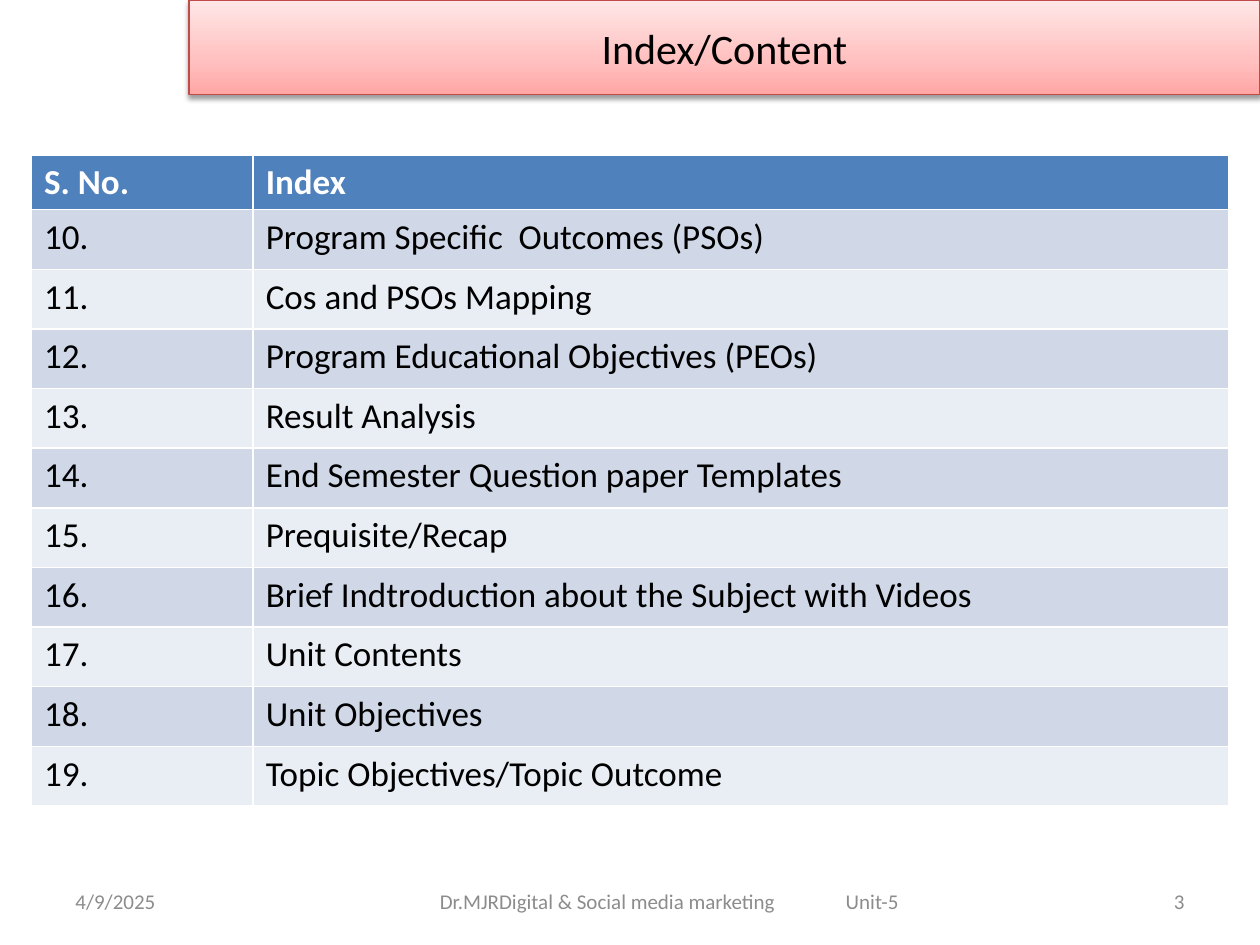
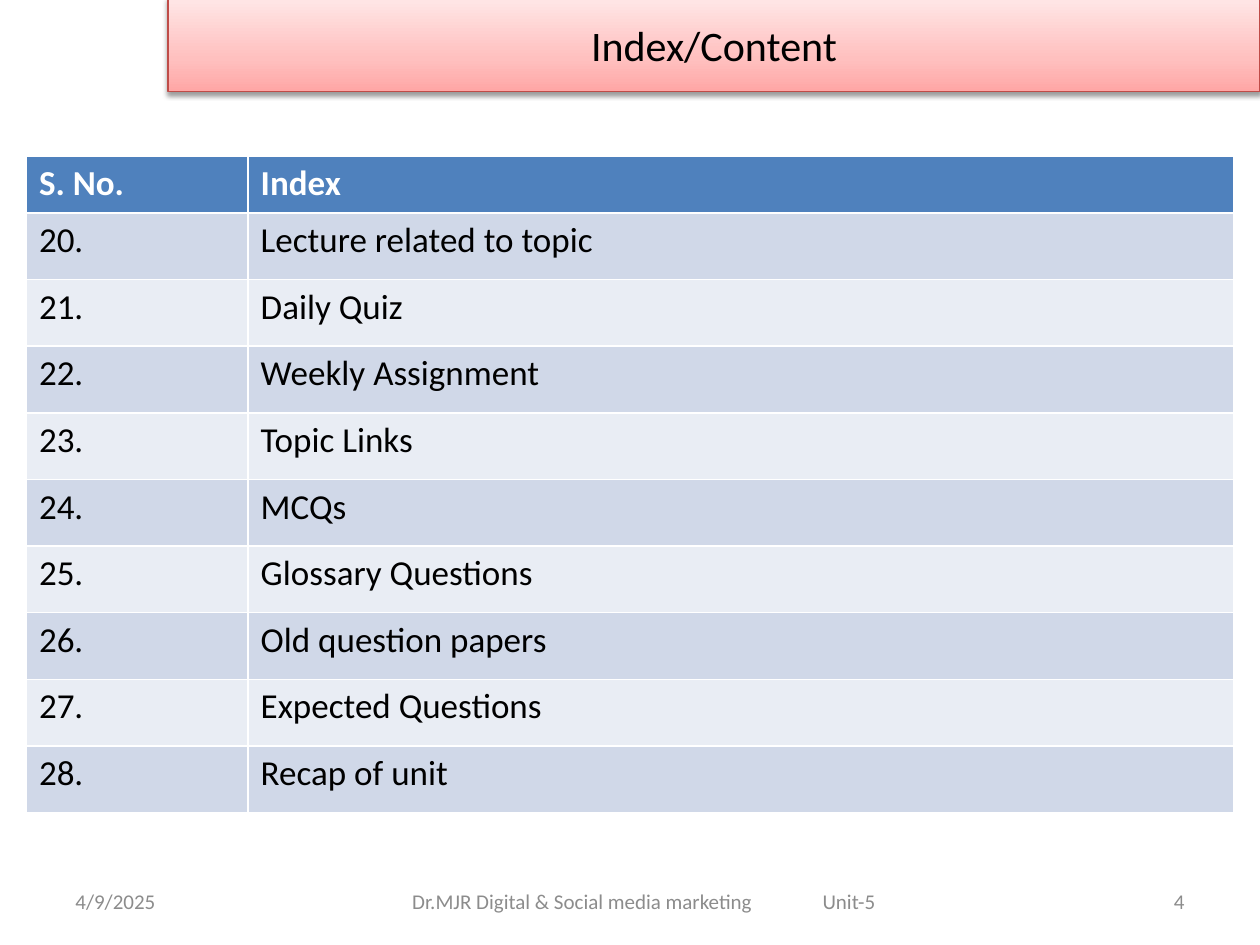
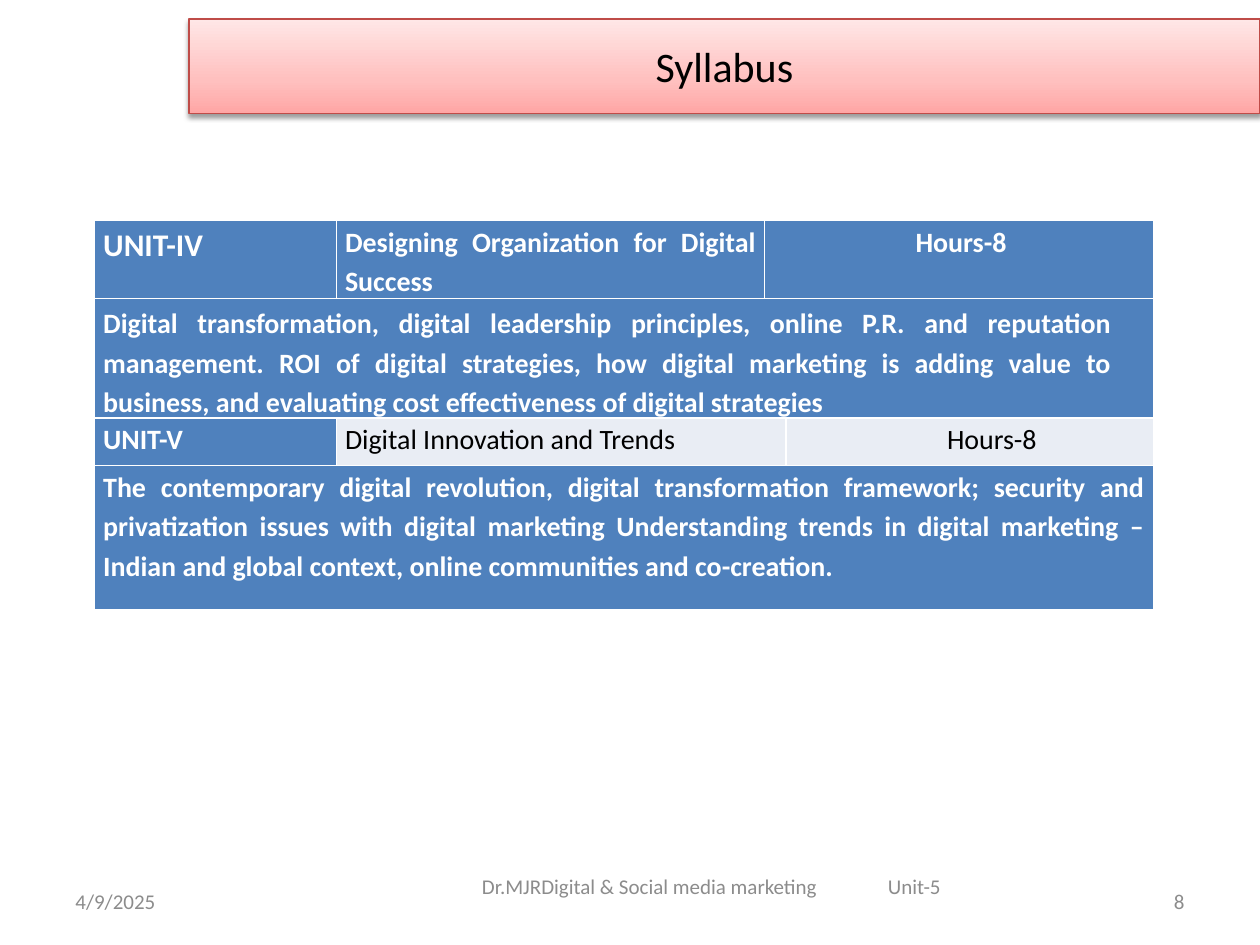
from lxml import etree
from pptx import Presentation
from pptx.dml.color import RGBColor
from pptx.enum.shapes import MSO_SHAPE
from pptx.enum.text import MSO_ANCHOR, PP_ALIGN
from pptx.oxml import parse_xml
from pptx.oxml.ns import nsdecls, qn
from pptx.util import Pt

FONT = "Calibri"
BLACK = RGBColor(0x00, 0x00, 0x00)
WHITE = RGBColor(0xFF, 0xFF, 0xFF)
GREY = RGBColor(0x8C, 0x8C, 0x8C)
BLUE = RGBColor(0x4F, 0x81, 0xBD)
BAND_DARK = RGBColor(0xD0, 0xD8, 0xE8)
BAND_LIGHT = RGBColor(0xE9, 0xED, 0xF4)
BANNER_LINE = RGBColor(0xBF, 0x4C, 0x48)
BANNER_STOPS = [
    (0, RGBColor(0xFF, 0xA6, 0xA5)),
    (35, RGBColor(0xFF, 0xC0, 0xBF)),
    (100, RGBColor(0xFF, 0xE7, 0xE7)),
]

SLIDE_WIDTH = 720
BANNER_HEIGHT = 54
FOOTER_TOP = 500.4
FOOTER_HEIGHT = 28.8
UNIT_LABEL_WIDTH = 33


def add_text(text_frame, text, size, color, bold=False, align=PP_ALIGN.LEFT):
    text_frame.word_wrap = True
    paragraph = text_frame.paragraphs[0]
    paragraph.alignment = align
    run = paragraph.add_run()
    run.text = text
    run.font.name = FONT
    run.font.size = Pt(size)
    run.font.bold = bold
    run.font.color.rgb = color
    return paragraph


def add_slide(title, banner_left, banner_top, number, course, course_box, unit_tab):
    """Add a slide with its title banner, date, course line and slide number."""
    slide = presentation.slides.add_slide(presentation.slide_layouts[6])

    banner = slide.shapes.add_shape(
        MSO_SHAPE.RECTANGLE, Pt(banner_left), Pt(banner_top),
        Pt(SLIDE_WIDTH - banner_left), Pt(BANNER_HEIGHT))
    banner.fill.gradient()
    banner.fill.gradient_angle = 90
    stop_list = banner._element.spPr.find(qn("a:gradFill")).find(qn("a:gsLst"))
    for stop in list(stop_list):
        stop_list.remove(stop)
    for position, color in BANNER_STOPS:
        stop = etree.SubElement(stop_list, qn("a:gs"), pos=str(position * 1000))
        etree.SubElement(stop, qn("a:srgbClr"), val=str(color))
    banner.line.color.rgb = BANNER_LINE
    banner.line.width = Pt(0.75)
    banner.shadow.inherit = False
    banner._element.spPr.find(qn("a:effectLst")).append(parse_xml(
        f'<a:outerShdw {nsdecls("a")} blurRad="{Pt(3.1)}" dist="{Pt(1.6)}" '
        'dir="5400000" rotWithShape="0"><a:srgbClr val="000000">'
        '<a:alpha val="38000"/></a:srgbClr></a:outerShdw>'))
    banner.text_frame.vertical_anchor = MSO_ANCHOR.MIDDLE
    add_text(banner.text_frame, title, 24, BLACK, align=PP_ALIGN.CENTER)

    course_left, course_top, course_width = course_box
    footers = [
        ("4/9/2025", 36, FOOTER_TOP, 168, PP_ALIGN.LEFT),
        (f"{course}\tUnit-5", course_left, course_top, course_width, PP_ALIGN.LEFT),
        (str(number), 516, FOOTER_TOP, 168, PP_ALIGN.RIGHT),
    ]
    for text, left, top, width, align in footers:
        box = slide.shapes.add_textbox(Pt(left), Pt(top), Pt(width), Pt(FOOTER_HEIGHT))
        box.text_frame.vertical_anchor = MSO_ANCHOR.MIDDLE
        paragraph = add_text(box.text_frame, text, 12, GREY, align=align)
        if "\t" in text:
            line_width = unit_tab + UNIT_LABEL_WIDTH
            box.text_frame.margin_left = Pt(round((width - line_width) / 2, 1))
            box.text_frame.margin_right = 0
            tabs = etree.SubElement(paragraph._p.get_or_add_pPr(), qn("a:tabLst"))
            etree.SubElement(tabs, qn("a:tab"), pos=str(Pt(unit_tab)), algn="l")
    return slide


presentation = Presentation()
presentation.slide_width = Pt(SLIDE_WIDTH)
presentation.slide_height = Pt(540)

# Index slides
index_slides = [
    dict(
        frame=("Index/Content", 108, 0, 3, "Dr.MJRDigital & Social media marketing",
               (131.8, FOOTER_TOP, 504), 232),
        table=(18, 88.6, 684, 372.2), header_height=31.2, first_number=10,
        topics=[
            "Program Specific  Outcomes (PSOs)",
            "Cos and PSOs Mapping",
            "Program Educational Objectives (PEOs)",
            "Result Analysis",
            "End Semester Question paper Templates",
            "Prequisite/Recap",
            "Brief Indtroduction about the Subject with Videos",
            "Unit Contents",
            "Unit Objectives",
            "Topic Objectives/Topic Outcome",
        ]),
    dict(
        frame=("Index/Content", 96, -1.5, 4, "Dr.MJR Digital & Social media marketing",
               (120.2, FOOTER_TOP, 498.2), 234.5),
        table=(15.1, 89.3, 689.8, 375.1), header_height=32.4, first_number=20,
        topics=[
            "Lecture related to topic",
            "Daily Quiz",
            "Weekly Assignment",
            "Topic Links",
            "MCQs",
            "Glossary Questions",
            "Old question papers",
            "Expected Questions",
            "Recap of unit",
        ]),
]
NUMBER_COLUMN = 126.7
for index in index_slides:
    slide = add_slide(*index["frame"])
    left, top, width, height = index["table"]
    rows = [("S. No.", "Index")]
    rows += [(f"{number}.", topic)
             for number, topic in enumerate(index["topics"], index["first_number"])]
    table = slide.shapes.add_table(
        len(rows), 2, Pt(left), Pt(top), Pt(width), Pt(height)).table
    table.columns[0].width = Pt(NUMBER_COLUMN)
    table.columns[1].width = Pt(width - NUMBER_COLUMN)
    topic_height = (height - index["header_height"]) / len(index["topics"])
    for row_number, row in enumerate(rows):
        header = row_number == 0
        table.rows[row_number].height = Pt(index["header_height"] if header else topic_height)
        for column, text in enumerate(row):
            cell = table.cell(row_number, column)
            cell.fill.solid()
            cell.fill.fore_color.rgb = (
                BLUE if header else BAND_DARK if row_number % 2 else BAND_LIGHT)
            add_text(cell.text_frame, text, 20, WHITE if header else BLACK, header)

# Syllabus slide
slide = add_slide("Syllabus", 108, 10.8, 8, "Dr.MJRDigital & Social media marketing",
                  (221.8, 491.8, 372.2), 232)
column_widths = [138.2, 244.8, 12.2, 210.2]
row_heights = [44.6, 66.2, 27.4, 82.1]
table = slide.shapes.add_table(
    4, 4, Pt(54), Pt(126), Pt(sum(column_widths)), Pt(sum(row_heights))).table
for column, width in zip(table.columns, column_widths):
    column.width = Pt(width)
for row, height in zip(table.rows, row_heights):
    row.height = Pt(height)

# Row, first column, last column, size, fill, alignment, (left, top, right) insets, text
syllabus_cells = [
    (0, 0, 0, 18, BLUE, PP_ALIGN.LEFT, (5, 0, 5), "UNIT-IV"),
    (0, 1, 1, 16, BLUE, PP_ALIGN.JUSTIFY, (5, 0, 5),
     "Designing Organization for Digital Success"),
    (0, 2, 3, 16, BLUE, PP_ALIGN.CENTER, (7, 0, 5), "Hours-8"),
    (1, 0, 3, 16, BLUE, PP_ALIGN.JUSTIFY, (5, 2, 24),
     "Digital transformation, digital leadership principles, online P.R. and reputation "
     "management. ROI of digital strategies, how digital marketing is adding value to "
     "business, and evaluating cost effectiveness of digital strategies"),
    (2, 0, 0, 16, BLUE, PP_ALIGN.LEFT, (5, 0, 5), "UNIT-V"),
    (2, 1, 2, 16, BAND_LIGHT, PP_ALIGN.LEFT, (5, 0, 5), "Digital Innovation and Trends"),
    (2, 3, 3, 16, BAND_LIGHT, PP_ALIGN.LEFT, (92, 0, 5), "Hours-8"),
    (3, 0, 3, 16, BLUE, PP_ALIGN.JUSTIFY, (5, 0, 5),
     "The contemporary digital revolution, digital transformation framework; security and "
     "privatization issues with digital marketing Understanding trends in digital "
     "marketing – Indian and global context, online communities and co-creation."),
]
for row, first, last, size, fill, align, insets, text in syllabus_cells:
    cell = table.cell(row, first)
    if last > first:
        cell.merge(table.cell(row, last))
    cell.fill.solid()
    cell.fill.fore_color.rgb = fill
    cell.margin_left, cell.margin_top, cell.margin_right = map(Pt, insets)
    cell.margin_bottom = 0
    on_blue = fill == BLUE
    paragraph = add_text(
        cell.text_frame, text, size, WHITE if on_blue else BLACK, on_blue, align)
    paragraph.line_spacing = 1.15

presentation.save("out.pptx")
